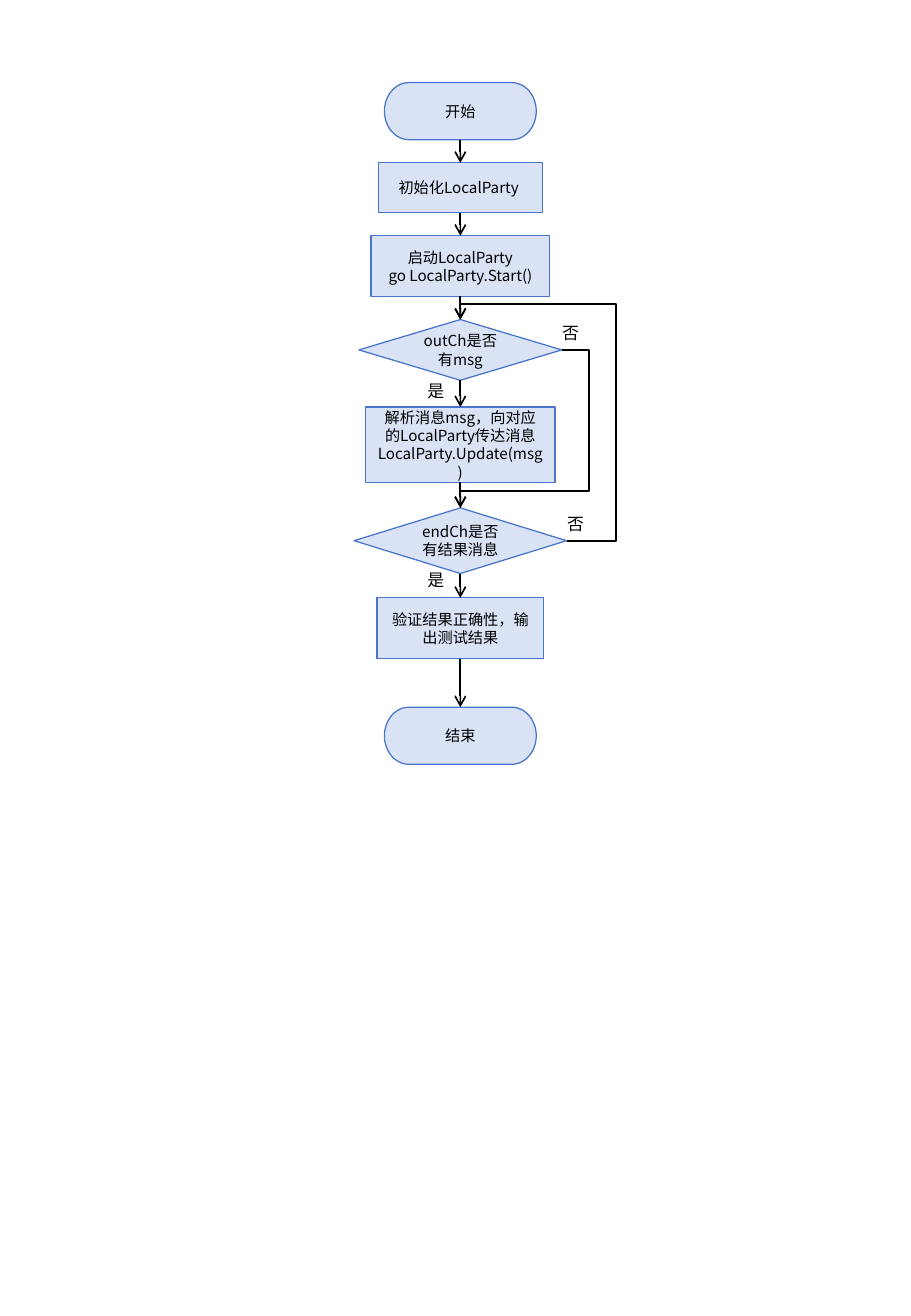
from lxml import etree
from pptx import Presentation
from pptx import util as u
from pptx.dml.color import RGBColor
from pptx.enum import shapes, text
from pptx.oxml.ns import qn

COLORS = {"fill": "DAE3F5", "border": "4874CB", "ink": "000000"}
FONT = "Noto Sans CJK SC"
KIND = shapes.MSO_SHAPE
AXIS = 3.79

STEPS = [
    ("start", KIND.FLOWCHART_TERMINATOR, 0.68, 1.25, 0.47, ["开始"]),
    ("init", KIND.FLOWCHART_PROCESS, 1.34, 1.35, 0.41, ["初始化LocalParty "]),
    ("launch", KIND.FLOWCHART_PROCESS, 1.94, 1.47, 0.5,
     ["启动LocalParty", "go LocalParty.Start()"]),
    ("out_check", KIND.FLOWCHART_DECISION, 2.63, 1.67, 0.5, ["outCh是否有msg"]),
    ("update", KIND.FLOWCHART_PROCESS, 3.35, 1.56, 0.62,
     ["解析消息msg，向对应的LocalParty传达消息", "LocalParty.Update(msg)"]),
    ("end_check", KIND.FLOWCHART_DECISION, 4.18, 1.75, 0.54, ["endCh是否有结果消息"]),
    ("verify", KIND.FLOWCHART_PROCESS, 4.92, 1.37, 0.5, ["验证结果正确性，输出测试结果"]),
    ("finish", KIND.FLOWCHART_TERMINATOR, 5.82, 1.25, 0.47, ["结束"]),
]
BRANCHES = [("out_check", "end_check", 4.85, 4.04),
            ("end_check", "out_check", 5.07, 2.5)]
LABELS = [("是", 3.42, 3.08), ("是", 3.42, 4.64),
          ("否", 4.57, 4.18), ("否", 4.53, 2.61)]


def rgb(name):
    return RGBColor.from_string(COLORS[name])


def write(tf, lines, size, align):
    for i, line in enumerate(lines):
        p = tf.paragraphs[0] if i == 0 else tf.add_paragraph()
        p.alignment = align
        r = p.add_run()
        r.text = line
        for name, value in {"size": u.Pt(size), "name": FONT}.items():
            setattr(r.font, name, value)
        r.font.color.rgb = rgb("ink")
        etree.SubElement(r.font._element, qn("a:ea"), typeface=FONT)


def add_step(s, kind, left, top, width, height, lines):
    sp = s.shapes.add_shape(kind, *map(u.Inches, (left, top, width, height)))
    sp.shadow.inherit = False
    sp.fill.solid()
    sp.fill.fore_color.rgb = rgb("fill")
    sp.line.color.rgb = rgb("border")
    sp.line.width = u.Pt(0)
    tf = sp.text_frame
    for name, value in {"word_wrap": True,
                        "vertical_anchor": text.MSO_ANCHOR.MIDDLE}.items():
        setattr(tf, name, value)
    write(tf, lines, 9, text.PP_ALIGN.CENTER)
    return sp


def add_arrow(s, kind, x1, y1, x2, y2):
    c = s.shapes.add_connector(kind, x1, y1, x2, y2)
    c.line.color.rgb = rgb("ink")
    c.line.width = u.Pt(1)
    etree.SubElement(c.line._get_or_add_ln(), qn("a:tailEnd"), type="arrow")
    etree.SubElement(c._element.spPr, qn("a:effectLst"))
    return c


def add_flow(s, axis):
    steps = {name: add_step(s, kind, axis - w / 2, top, w, h, lines)
             for name, kind, top, w, h, lines in STEPS}
    order = list(steps.values())
    for a, b in zip(order, order[1:]):
        c = add_arrow(s, shapes.MSO_CONNECTOR.STRAIGHT, 0, 0, 0, 0)
        c.begin_connect(a, 2)
        c.end_connect(b, 0)
    return steps


def add_branch(s, a, b, lane_x, lane_y):
    x1, y1 = a.left + a.width, a.top + a.height // 2
    x2, y2 = b.left + b.width // 2, b.top
    c = add_arrow(s, shapes.MSO_CONNECTOR.ELBOW, x1, y1, x2, y2)
    geom = c._element.spPr.find(qn("a:prstGeom"))
    geom.set("prst", "bentConnector4")
    guides = geom.find(qn("a:avLst"))
    if guides is None:
        guides = etree.SubElement(geom, qn("a:avLst"))
    ratios = ((u.Inches(lane_x) - x1) / (x2 - x1), (u.Inches(lane_y) - y1) / (y2 - y1))
    for i, ratio in enumerate(ratios, 1):
        etree.SubElement(guides, qn("a:gd"), name=f"adj{i}",
                         fmla=f"val {round(ratio * 100000)}")


def add_label(s, word, left, top):
    tb = s.shapes.add_textbox(*map(u.Inches, (left, top, 0.37, 0.27)))
    tf = tb.text_frame
    for name, value in {"word_wrap": True,
                        "auto_size": text.MSO_AUTO_SIZE.SHAPE_TO_FIT_TEXT}.items():
        setattr(tf, name, value)
    write(tf, [word], 10, text.PP_ALIGN.LEFT)


def main():
    prs = Presentation()
    prs.slide_width, prs.slide_height = u.Inches(7.5), u.Inches(10.83)
    s = prs.slides.add_slide(prs.slide_layouts[6])
    steps = add_flow(s, AXIS)
    for source, target, lane_x, lane_y in BRANCHES:
        add_branch(s, steps[source], steps[target], lane_x, lane_y)
    for label in LABELS:
        add_label(s, *label)
    prs.save("out.pptx")


if __name__ == "__main__":
    main()
